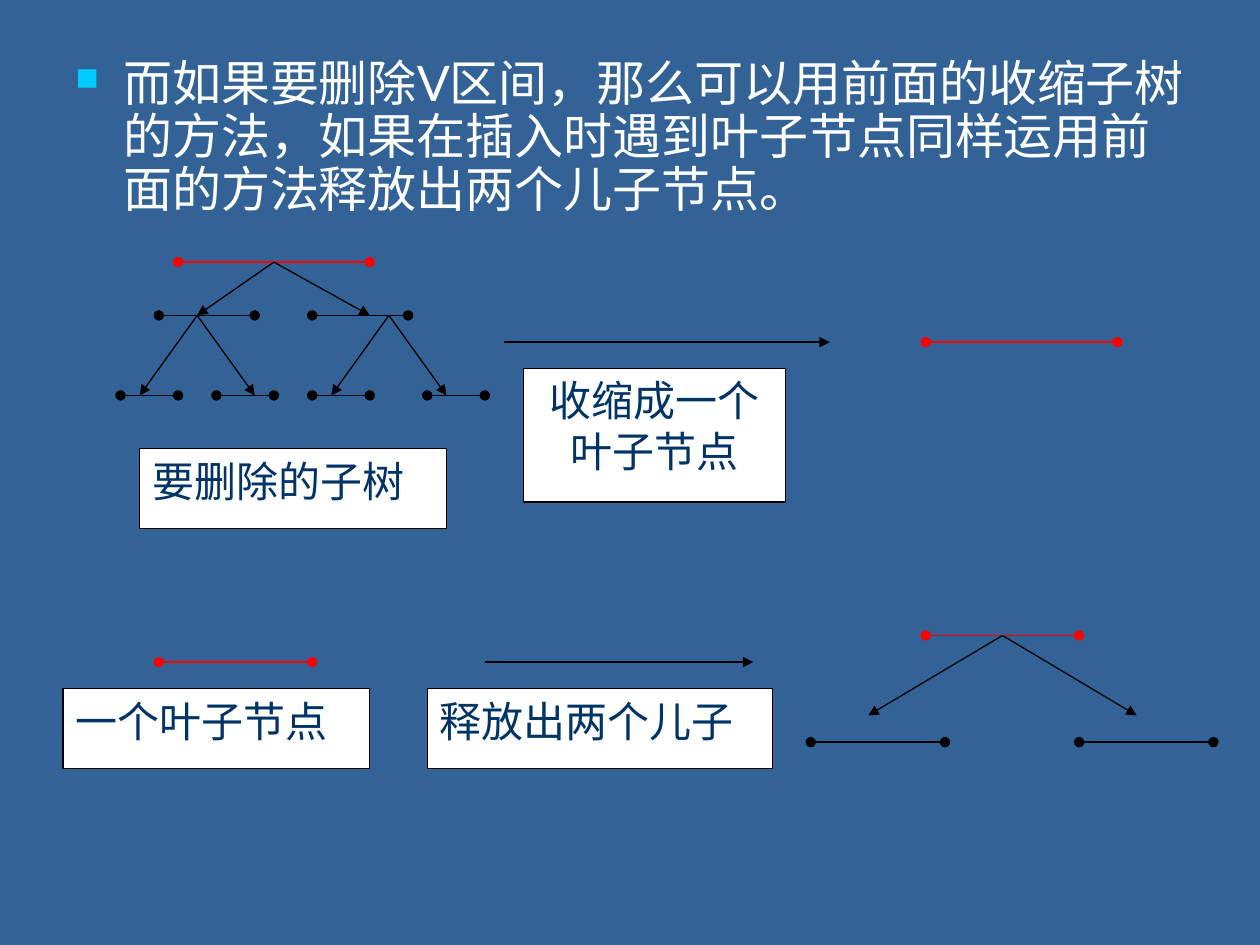
from typing import NamedTuple

from lxml.etree import SubElement
from pptx import Presentation
from pptx.dml.color import RGBColor
from pptx.enum.shapes import MSO_CONNECTOR, MSO_SHAPE
from pptx.enum.text import MSO_ANCHOR, PP_ALIGN
from pptx.oxml.ns import qn
from pptx.slide import Slide
from pptx.util import Inches, Pt

COLORS = {
    "background": "326296",
    "removed": "FF0000",
    "ink": "000000",
    "paper": "FFFFFF",
    "label": "003366",
    "bullet": "00CCFF",
}
LEFT, TOP = 0.5, 2.08
COLUMN, ROW = 9.13 / 60, 3.81 / 18


class Interval(NamedTuple):
    start: float
    end: float
    row: float
    color: str = "ink"


class Arrow(NamedTuple):
    start: tuple[float, float]
    end: tuple[float, float]


class Label(NamedTuple):
    wording: str
    column: float
    row: float
    columns: float
    rows: float
    align: PP_ALIGN = PP_ALIGN.JUSTIFY


INTERVALS = [
    Interval(6, 16, 0, "removed"),
    Interval(5, 10, 2),
    Interval(13, 18, 2),
    Interval(3, 6, 5),
    Interval(8, 11, 5),
    Interval(13, 16, 5),
    Interval(19, 22, 5),
    Interval(45, 55, 3, "removed"),
    Interval(5, 13, 15, "removed"),
    Interval(45, 53, 14, "removed"),
    Interval(39, 46, 18),
    Interval(53, 60, 18),
]

ARROWS = [
    Arrow((11, 0), (7, 2)),
    Arrow((11, 0), (16, 2)),
    Arrow((7, 2), (4, 5)),
    Arrow((7, 2), (10, 5)),
    Arrow((17, 2), (14, 5)),
    Arrow((17, 2), (20, 5)),
    Arrow((23, 3), (40, 3)),
    Arrow((22, 15), (36, 15)),
    Arrow((49, 14), (42, 17)),
    Arrow((49, 14), (56, 17)),
]

LABELS = [
    Label("要删除的子树", 4, 7, 16, 3),
    Label("收缩成一个叶子节点", 24, 4, 13.7, 5, PP_ALIGN.CENTER),
    Label("一个叶子节点", 0, 16, 16, 3),
    Label("释放出两个儿子", 19, 16, 18, 3),
]

EXPLANATION = (
    "而如果要删除V区间，那么可以用前面的收缩子树 的方法，"
    "如果在插入时遇到叶子节点同样运用前面的方法释放出两个儿子节点。"
)


def rgb(name: str) -> RGBColor:
    return RGBColor.from_string(COLORS[name])


def grid_x(column: float) -> int:
    return Inches(LEFT + column * COLUMN)


def grid_y(row: float) -> int:
    return Inches(TOP + row * ROW)


def draw_line(slide: Slide, start: tuple[float, float], end: tuple[float, float],
              color: str, ends: dict[str, str]) -> None:
    connector = slide.shapes.add_connector(
        MSO_CONNECTOR.STRAIGHT,
        grid_x(start[0]), grid_y(start[1]), grid_x(end[0]), grid_y(end[1]),
    )
    connector.line.color.rgb = rgb(color)
    connector.line.width = Pt(0.75)
    outline = connector.line._get_or_add_ln()
    for side, tip in ends.items():
        SubElement(outline, qn(f"a:{side}"), type=tip)
    SubElement(connector._element.spPr, qn("a:effectLst"))


def draw_interval(slide: Slide, interval: Interval) -> None:
    draw_line(slide, (interval.start, interval.row), (interval.end, interval.row),
              interval.color, {"headEnd": "oval", "tailEnd": "oval"})


def draw_arrow(slide: Slide, arrow: Arrow) -> None:
    draw_line(slide, arrow.start, arrow.end, "ink", {"tailEnd": "triangle"})


def draw_label(slide: Slide, label: Label) -> None:
    box = slide.shapes.add_shape(
        MSO_SHAPE.RECTANGLE, grid_x(label.column), grid_y(label.row),
        Inches(label.columns * COLUMN), Inches(label.rows * ROW),
    )
    box.shadow.inherit = False
    box.fill.solid()
    box.fill.fore_color.rgb = rgb("paper")
    box.line.color.rgb = rgb("ink")
    box.line.width = Pt(0.75)
    box.text_frame.word_wrap = True
    box.text_frame.vertical_anchor = MSO_ANCHOR.TOP
    paragraph = box.text_frame.paragraphs[0]
    paragraph.text = label.wording
    paragraph.alignment = label.align
    paragraph.font.name = "Times New Roman"
    paragraph.font.size = Pt(24)
    paragraph.font.color.rgb = rgb("label")


def draw_explanation(slide: Slide) -> None:
    body = slide.shapes.add_textbox(Inches(LEFT), Inches(0.42), Inches(9), Inches(1.82))
    body.text_frame.word_wrap = True
    paragraph = body.text_frame.paragraphs[0]
    paragraph.text = EXPLANATION
    paragraph.line_spacing = 0.9
    paragraph.space_before = Pt(7)
    paragraph.font.name = "Lato"
    paragraph.font.size = Pt(28)
    paragraph.font.color.rgb = rgb("paper")
    properties = paragraph._p.get_or_add_pPr()
    properties.set("marL", str(Inches(0.38)))
    properties.set("indent", str(-Inches(0.38)))
    bullet_color = properties.makeelement(qn("a:buClr"))
    SubElement(bullet_color, qn("a:srgbClr"), val=COLORS["bullet"])
    bullet_size = properties.makeelement(qn("a:buSzPct"), val="65000")
    bullet = properties.makeelement(qn("a:buChar"), char="■")
    run_defaults = properties.find(qn("a:defRPr"))
    for part in (bullet_color, bullet_size, bullet):
        run_defaults.addprevious(part)


def main() -> None:
    presentation = Presentation()
    presentation.slide_width = Inches(10)
    presentation.slide_height = Inches(7.5)
    slide = presentation.slides.add_slide(presentation.slide_layouts[6])
    slide.background.fill.solid()
    slide.background.fill.fore_color.rgb = rgb("background")
    for interval in INTERVALS:
        draw_interval(slide, interval)
    for arrow in ARROWS:
        draw_arrow(slide, arrow)
    for label in LABELS:
        draw_label(slide, label)
    draw_explanation(slide)
    presentation.save("out.pptx")


if __name__ == "__main__":
    main()
